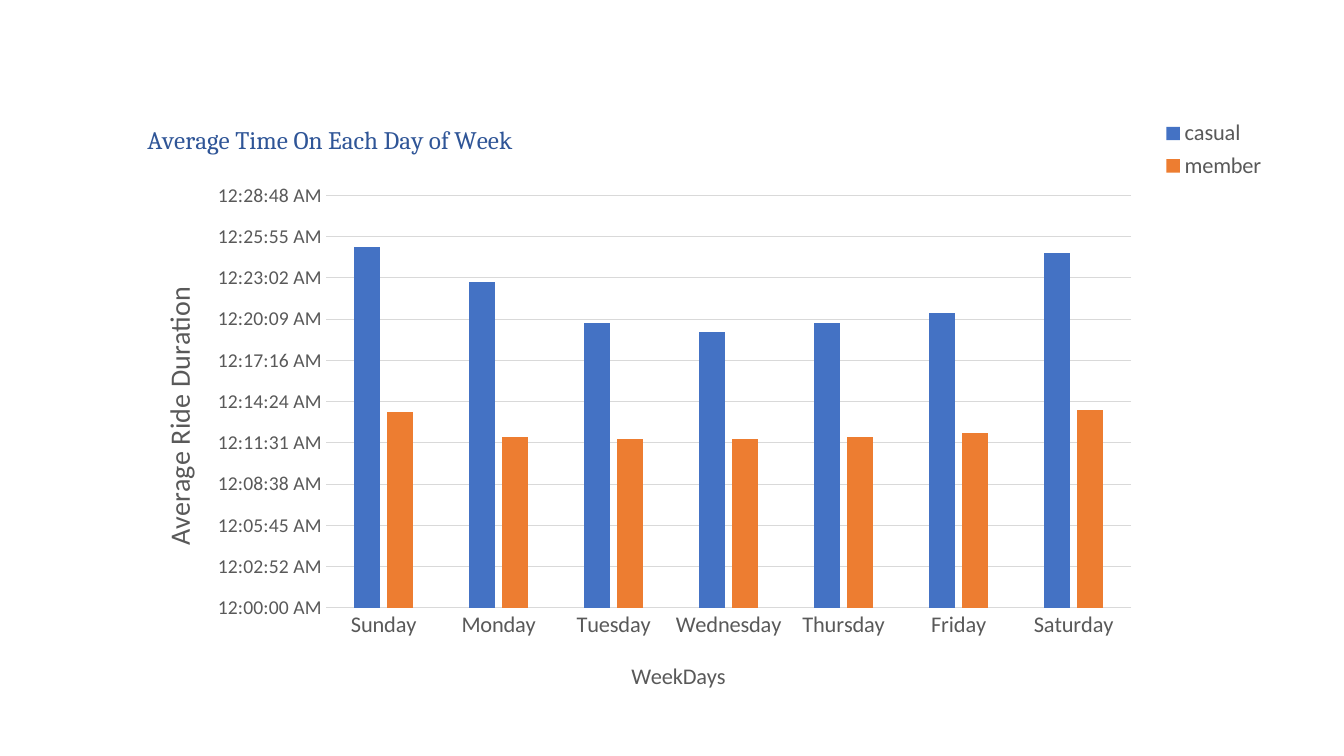
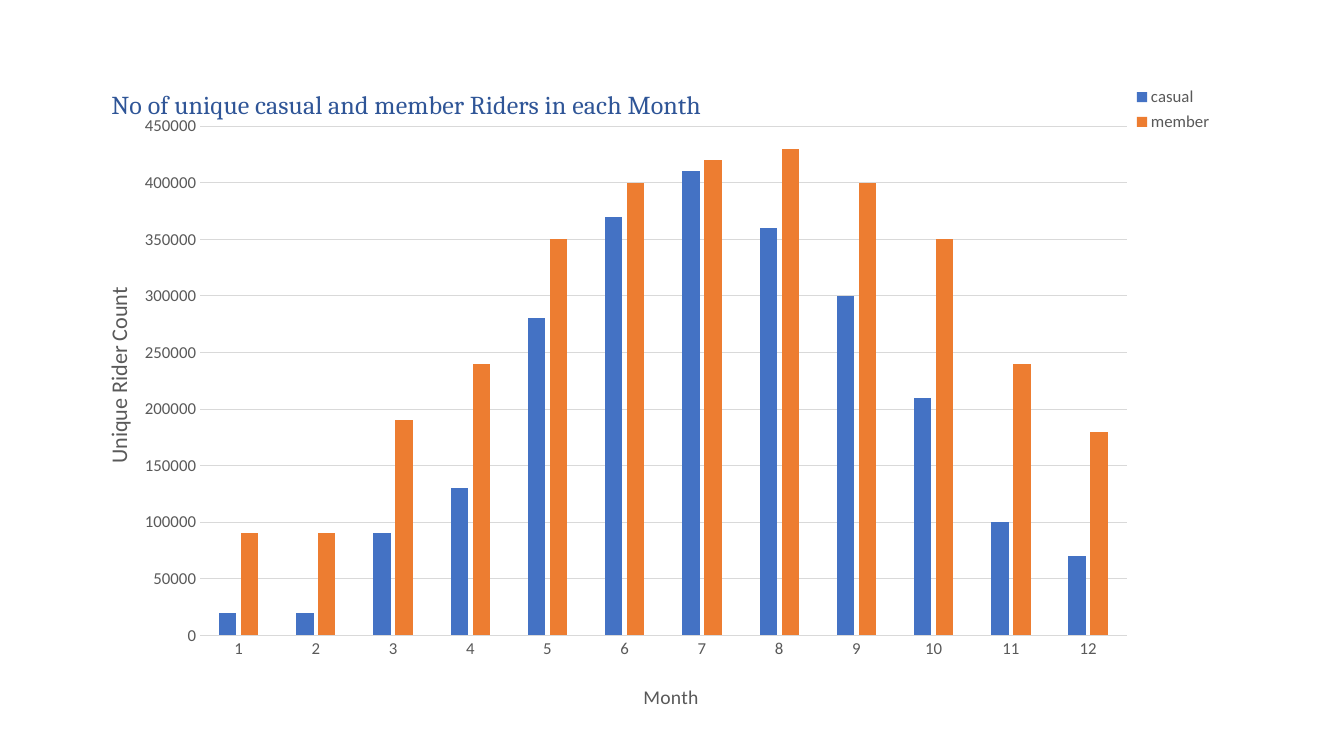
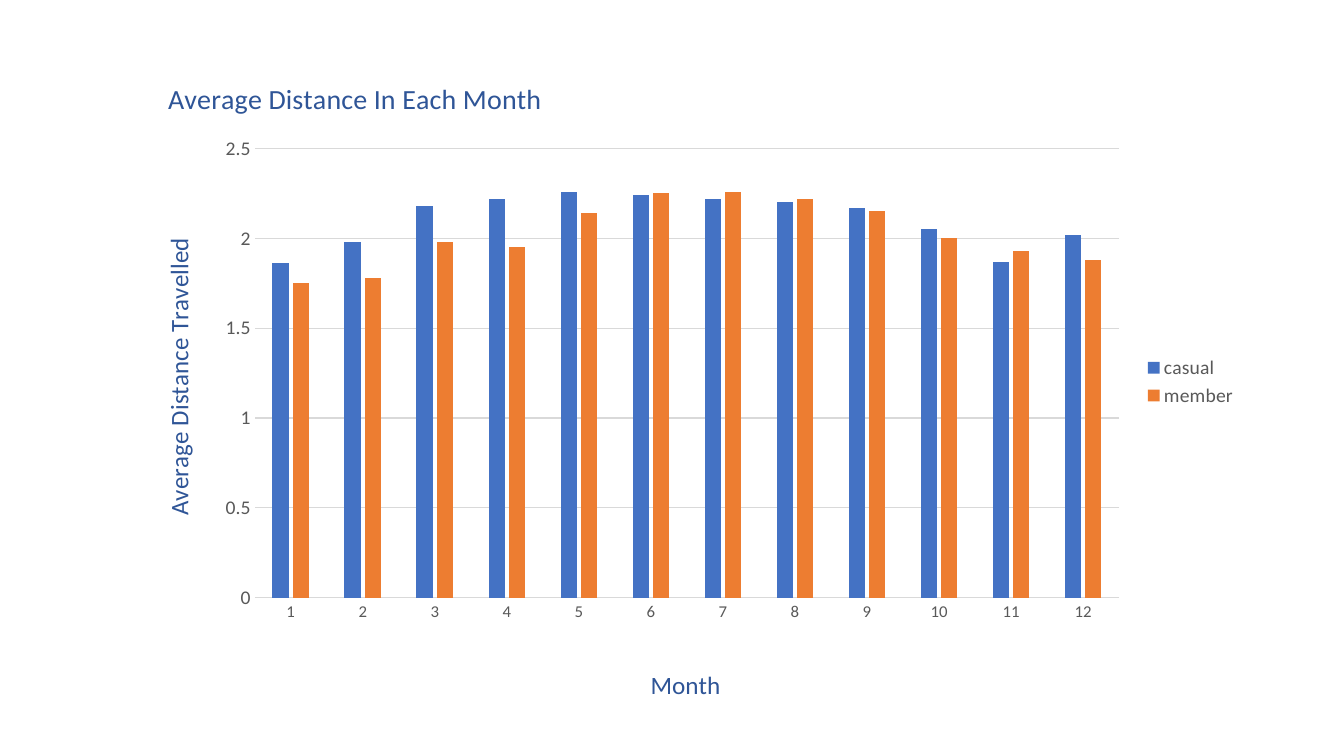
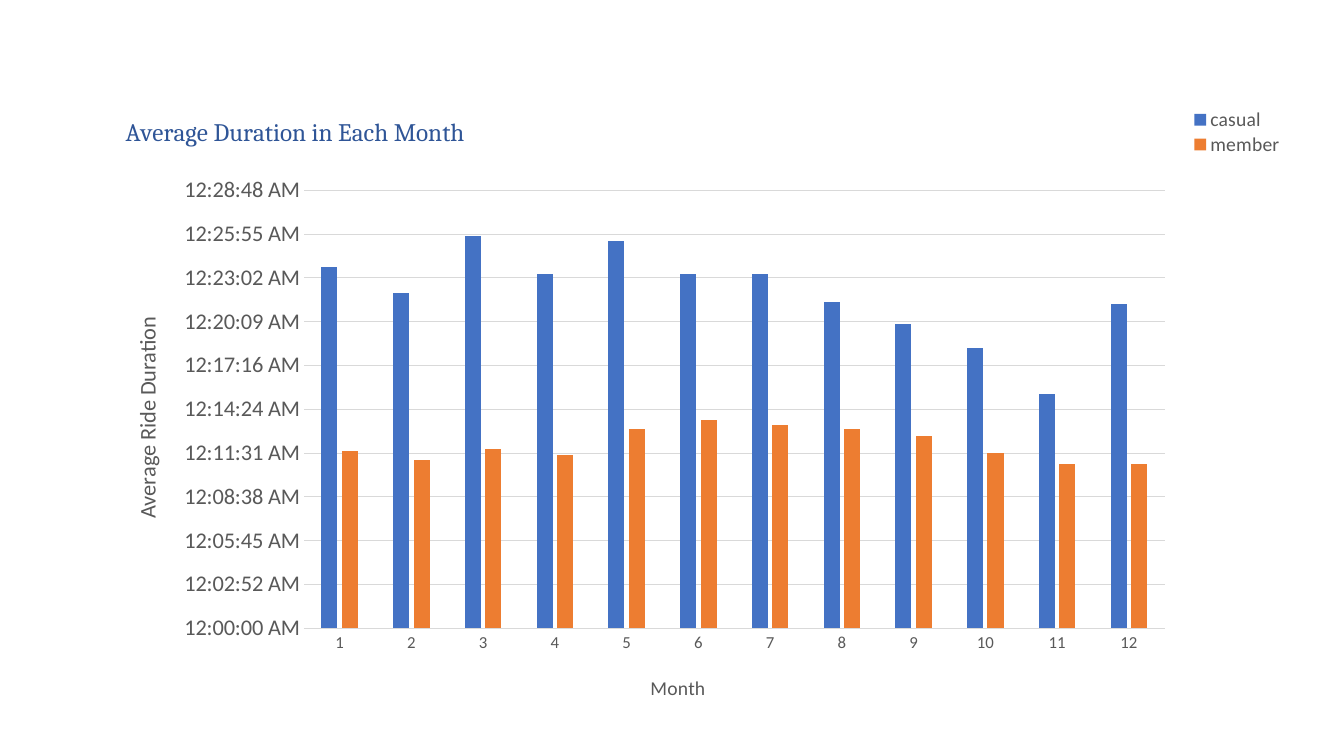
import pptx
import pptx.chart.data
import pptx.dml.color
import pptx.enum.chart
import pptx.oxml
import pptx.oxml.ns
import pptx.util

Pt = pptx.util.Pt
RGB = pptx.dml.color.RGBColor
BLUE = RGB(0x44, 0x72, 0xC4)
ORANGE = RGB(0xED, 0x7D, 0x31)
NAVY = RGB(0x2F, 0x55, 0x97)
GREY = RGB(0x59, 0x59, 0x59)
PALE = RGB(0xD9, 0xD9, 0xD9)
SANS, SERIF = "Calibri", "Cambria"
CLOCK = "[$-F400]h:mm:ss\\ AM/PM"
MONTHS = [str(month) for month in range(1, 13)]
DAYS = ["Sunday", "Monday", "Tuesday", "Wednesday", "Thursday", "Friday",
        "Saturday"]


def style(font, size, color=GREY, name=SANS):
    """Set size, colour and typeface of a font, never bold."""
    font.size, font.name, font.bold = Pt(size), name, False
    font.color.rgb = color


def place(part, index, frame, box):
    """Pin a chart part to a box given in points on the slide."""
    left, top, width, height = frame
    values = {"x": (box[0] - left) / width, "y": (box[1] - top) / height}
    modes = '<c:xMode val="edge"/><c:yMode val="edge"/>'
    if len(box) == 4:
        values.update(w=box[2] / width, h=box[3] / height)
    if index == 0:
        modes = '<c:layoutTarget val="inner"/>' + modes
    sizes = "".join(f'<c:{key} val="{val:.4f}"/>'
                    for key, val in values.items())
    for old in part.xpath("./c:layout"):
        part.remove(old)
    part.insert(index, pptx.oxml.parse_xml(
        f'<c:layout {pptx.oxml.ns.nsdecls("c")}><c:manualLayout>'
        f'{modes}{sizes}</c:manualLayout></c:layout>'))


def label(title, frame, text, spot, size, color=GREY, name=SANS):
    """Write, format and place the title of a chart or an axis."""
    title.text_frame.text = text
    style(title.text_frame.paragraphs[0].font, size, color, name)
    place(title.element, 1, frame, spot)


def scale(axis, top, step, form):
    """Set the range, grid and number format of the value axis."""
    axis.minimum_scale, axis.maximum_scale, axis.major_unit = 0, top, step
    axis.has_major_gridlines = True
    grid = axis.major_gridlines.format.line
    grid.color.rgb, grid.width = PALE, Pt(0.75)
    axis.format.line.fill.background()
    axis.tick_labels.number_format = form
    axis.tick_labels.number_format_is_linked = False


def legend(chart, frame, size, box):
    """Show the legend on the right, or in the box if there is one."""
    chart.has_legend = True
    key = chart.legend
    key.position = pptx.enum.chart.XL_LEGEND_POSITION.RIGHT
    key.include_in_layout = False
    style(key.font, size)
    if box:
        place(chart.element.xpath(".//c:legend")[0], 1, frame, box)


def columns(deck, frame, cats, casual, member, title, across, up, ticks,
            span, plot, key):
    """Add a slide with a column chart of casual and member riders."""
    data = pptx.chart.data.CategoryChartData()
    data.categories = cats
    data.add_series("casual", casual)
    data.add_series("member", member)
    slide = deck.slides.add_slide(deck.slide_layouts[6])
    chart = slide.shapes.add_chart(
        pptx.enum.chart.XL_CHART_TYPE.COLUMN_CLUSTERED,
        *map(Pt, frame), data).chart
    style(chart.font, 10)
    chart.has_title = True
    label(chart.chart_title, frame, *title)
    bars = chart.plots[0]
    bars.gap_width, bars.overlap, bars.vary_by_categories = 219, -27, False
    for series, color in zip(bars.series, (BLUE, ORANGE)):
        series.format.fill.solid()
        series.format.fill.fore_color.rgb = color
    none = pptx.enum.chart.XL_TICK_MARK.NONE
    axes = (chart.category_axis, chart.value_axis)
    for axis, name, size in zip(axes, (across, up), ticks):
        axis.major_tick_mark = axis.minor_tick_mark = none
        style(axis.tick_labels.font, size)
        label(axis.axis_title, frame, *name)
    base = axes[0].format.line
    base.color.rgb, base.width = PALE, Pt(0.75)
    scale(axes[1], *span)
    body = axes[1].axis_title.element.xpath(".//a:bodyPr")[0]
    body.set("rot", "-5400000")
    body.set("vert", "horz")
    legend(chart, frame, *key)
    place(chart.element.xpath(".//c:plotArea")[0], 0, frame, plot)


def main():
    """Build and save the four chart slides."""
    deck = pptx.Presentation()
    deck.slide_width, deck.slide_height = Pt(960), Pt(540)
    columns(
        deck, (89.3, 78.5, 819.4, 427.7), DAYS,
        [0.0175, 0.0158, 0.0138, 0.0134, 0.0138, 0.0143, 0.0172],
        [0.0095, 0.0083, 0.0082, 0.0082, 0.0083, 0.0085, 0.0096],
        title=("Average Time On Each Day of Week", (102, 85), 18, NAVY,
               SERIF),
        across=("WeekDays", (448, 469), 16),
        up=("Average Ride Duration", (110, 201), 20),
        ticks=(16, 14), span=(0.02, 0.002, CLOCK),
        plot=(233, 139.6, 575, 294.7), key=(16, (830.5, 82, 75, 50)))
    columns(
        deck, (64.1, 46.8, 838, 464.4), MONTHS,
        [20000, 20000, 90000, 130000, 280000, 370000, 410000, 360000,
         300000, 210000, 100000, 70000],
        [90000, 90000, 190000, 240000, 350000, 400000, 420000, 430000,
         400000, 350000, 240000, 180000],
        title=("No of unique casual and member Riders in each Month",
               (76.2, 59), 18.6, NAVY, SERIF),
        across=("Month", (457, 490), 14),
        up=("Unique Rider Count", (71, 205), 16),
        ticks=(12, 12), span=(450000, 50000, "General"),
        plot=(142.9, 90.5, 662, 367.3), key=(12, (806.5, 59, 63, 39)))
    columns(
        deck, (103.7, 44.6, 787.7, 461.5), MONTHS,
        [1.86, 1.98, 2.18, 2.22, 2.26, 2.24, 2.22, 2.2, 2.17, 2.05, 1.87,
         2.02],
        [1.75, 1.78, 1.98, 1.95, 2.14, 2.25, 2.26, 2.22, 2.15, 2, 1.93,
         1.88],
        title=("Average Distance In Each Month", (116.5, 53), 20, NAVY),
        across=("Month", (461.5, 479), 18, NAVY),
        up=("Average Distance Travelled", (112, 170.7), 18, NAVY),
        ticks=(12, 14), span=(2.5, 0.5, "General"),
        plot=(182, 106.8, 617.5, 324.7), key=(14, None))
    columns(
        deck, (73.4, 73.4, 851.8, 439.9), MONTHS,
        [0.0165, 0.0153, 0.0179, 0.0162, 0.0177, 0.0162, 0.0162, 0.0149,
         0.0139, 0.0128, 0.0107, 0.0148],
        [0.0081, 0.0077, 0.0082, 0.0079, 0.0091, 0.0095, 0.0093, 0.0091,
         0.0088, 0.008, 0.0075, 0.0075],
        title=("Average Duration in Each Month", (86.4, 79), 18, NAVY,
               SERIF),
        across=("Month", (462, 479), 14),
        up=("Average Ride Duration", (91.5, 223.6), 16),
        ticks=(12, 16), span=(0.02, 0.002, CLOCK),
        plot=(217, 136, 615, 313), key=(14, (848, 76.5, 71, 36)))
    deck.save("out.pptx")


main()
